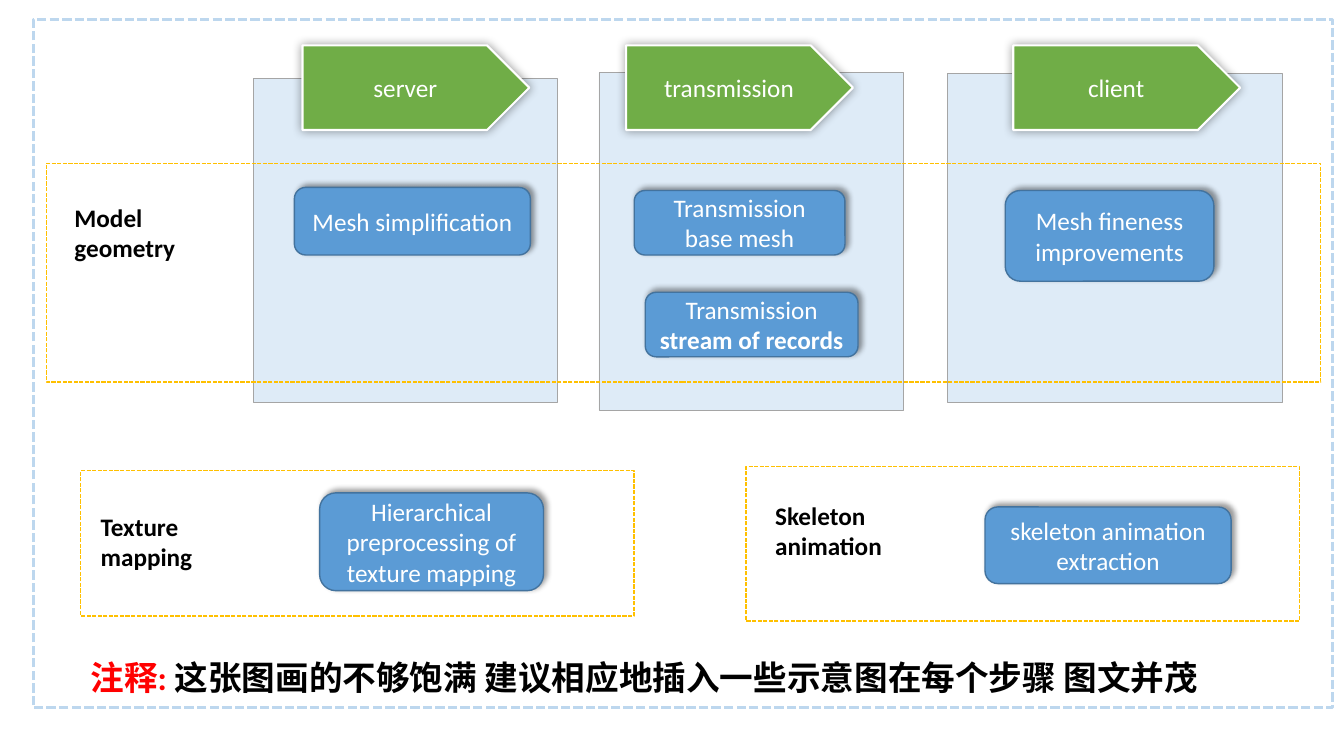
"""Build the slide on serving, transmitting and showing 3D models."""
import pptx
import pptx.dml.color
import pptx.enum.dml
import pptx.enum.shapes
import pptx.enum.text
import pptx.oxml
import pptx.oxml.ns
import pptx.util
from pptx.util import Inches

SHAPES = pptx.enum.shapes.MSO_SHAPE
ALIGN = pptx.enum.text.PP_ALIGN
BODY = {"size": pptx.util.Pt(18), "name": "Calibri", "bold": False}
BOLD = BODY | {"bold": True}
NOTE = BOLD | {"size": pptx.util.Pt(24)}

deck = pptx.Presentation()
deck.slide_width, deck.slide_height = Inches(13.33), Inches(7.5)
page = deck.slides.add_slide(deck.slide_layouts[6])


def add_box(kind, place, fill, line, width, dashed=False, shadow=None):
    box = page.shapes.add_shape(kind, *map(Inches, place))
    box.shadow.inherit = False
    if fill:
        box.fill.solid()
        box.fill.fore_color.rgb = pptx.dml.color.RGBColor.from_string(fill)
    else:
        box.fill.background()
    box.line.color.rgb = pptx.dml.color.RGBColor.from_string(line)
    box.line.width = pptx.util.Pt(width)
    if dashed:
        box.line.dash_style = pptx.enum.dml.MSO_LINE.SQUARE_DOT
    if shadow:
        blur, distance, angle = shadow
        effects = box._element.spPr.find(pptx.oxml.ns.qn("a:effectLst"))
        effects.append(pptx.oxml.parse_xml(
            f'<a:outerShdw {pptx.oxml.ns.nsdecls("a")} blurRad="{pptx.util.Pt(blur)}"'
            f' dist="{pptx.util.Pt(distance)}" dir="{angle * 60000}" rotWithShape="0">'
            '<a:srgbClr val="000000"><a:alpha val="40000"/></a:srgbClr></a:outerShdw>'))
    return box


def write(box, runs, align):
    box.text_frame.word_wrap = True
    para = box.text_frame.paragraphs[0]
    para.alignment = align
    for text, color, style in runs:
        span = para.add_run()
        span.text = text
        span.font.color.rgb = pptx.dml.color.RGBColor.from_string(color)
        for name, value in style.items():
            setattr(span.font, name, value)


columns = [(9.4, 0.73, 3.32, 3.26), (5.94, 0.72, 3.02, 3.35), (2.51, 0.78, 3.02, 3.21)]
for place in columns:
    add_box(SHAPES.RECTANGLE, place, "DEEBF7", "A5A5A5", 0.5)

steps = [
    ((2.92, 1.86, 2.34, 0.67), "Mesh simplification", ""),
    ((6.29, 1.89, 2.09, 0.64), "Transmission base mesh", ""),
    ((6.4, 2.9, 2.11, 0.64), "Transmission ", "stream of records "),
    ((9.97, 1.89, 2.07, 0.9), "Mesh fineness improvements", ""),
    ((3.17, 4.89, 2.22, 0.97), "Hierarchical preprocessing of texture mapping", ""),
    ((9.77, 5.03, 2.44, 0.76), "skeleton animation extraction", ""),
]
for place, text, strong in steps:
    step = add_box(SHAPES.ROUNDED_RECTANGLE, place, "5B9BD5", "43739E", 1, shadow=(4, 3, 315))
    runs = [(text, "FFFFFF", BODY)]
    if strong:
        runs.append((strong, "FFFFFF", BOLD))
    write(step, runs, ALIGN.CENTER)

add_box(SHAPES.RECTANGLE, (0.33, 0.19, 12.89, 6.83), None, "BDD7EE", 2.25, dashed=True)

for left, stage in [(3, "server"), (6.21, "transmission"), (10.05, "client")]:
    arrow = add_box(SHAPES.PENTAGON, (left, 0.45, 2.25, 0.84), "70AD47", "FFFFFF", 1.5,
                    shadow=(7, 0, 319))
    write(arrow, [(stage, "FFFFFF", BODY)], ALIGN.CENTER)

frames = [(0.46, 1.62, 12.64, 2.17), (0.8, 4.67, 5.49, 1.44), (7.4, 4.63, 5.49, 1.53)]
for place in frames:
    add_box(SHAPES.RECTANGLE, place, None, "FFC000", 1, dashed=True)

labels = [
    ((0.64, 1.96, 1.54, 0.71), [("Model geometry", "000000", BOLD)]),
    ((0.9, 5.02, 1.54, 0.71), [("Texture mapping", "000000", BOLD)]),
    ((7.59, 4.91, 1.54, 1.01), [("Skeleton animation", "000000", BOLD)]),
    ((0.8, 6.47, 11.73, 0.5), [
        ("注释: ", "FF0000", NOTE),
        ("这张图画的不够饱满 建议相应地插入一些示意图在每个步骤 图文并茂", "000000", NOTE),
    ]),
]
for place, runs in labels:
    label = page.shapes.add_textbox(*map(Inches, place))
    write(label, runs, ALIGN.LEFT)
    label.text_frame.auto_size = pptx.enum.text.MSO_AUTO_SIZE.SHAPE_TO_FIT_TEXT

deck.save("out.pptx")
